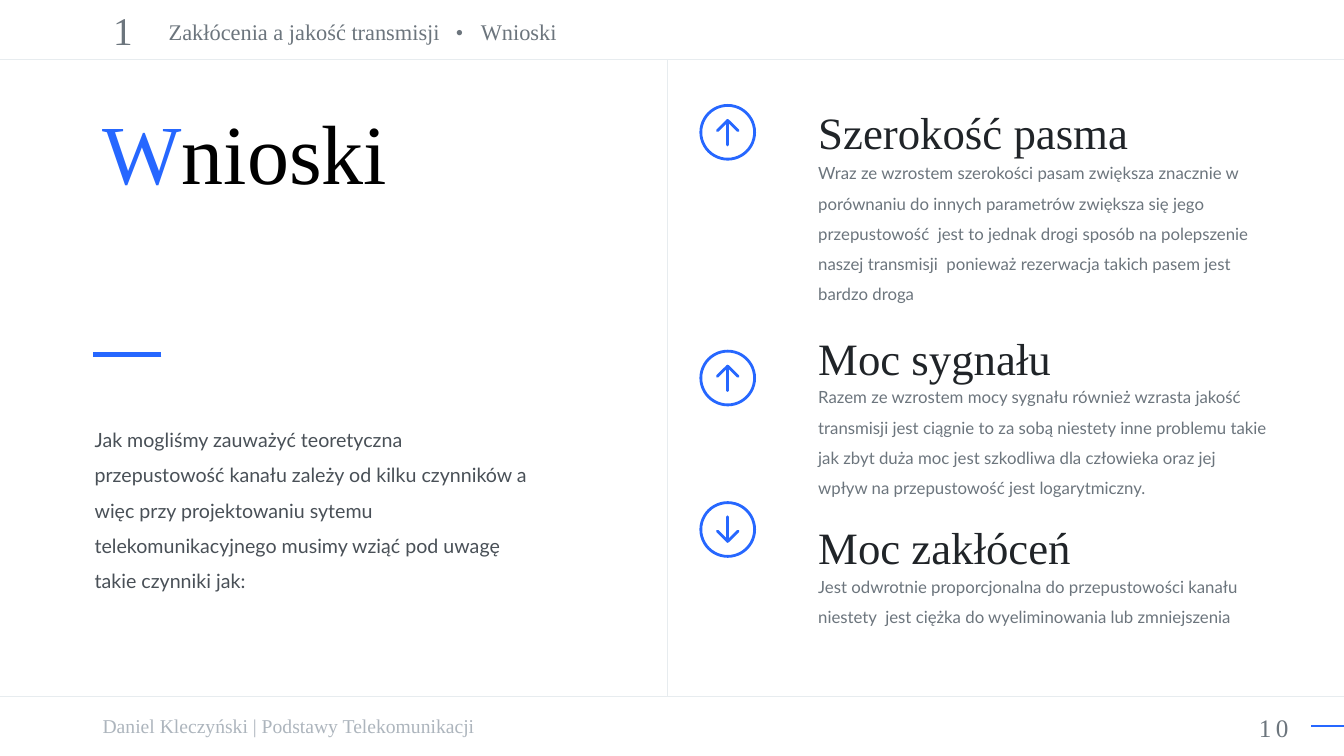
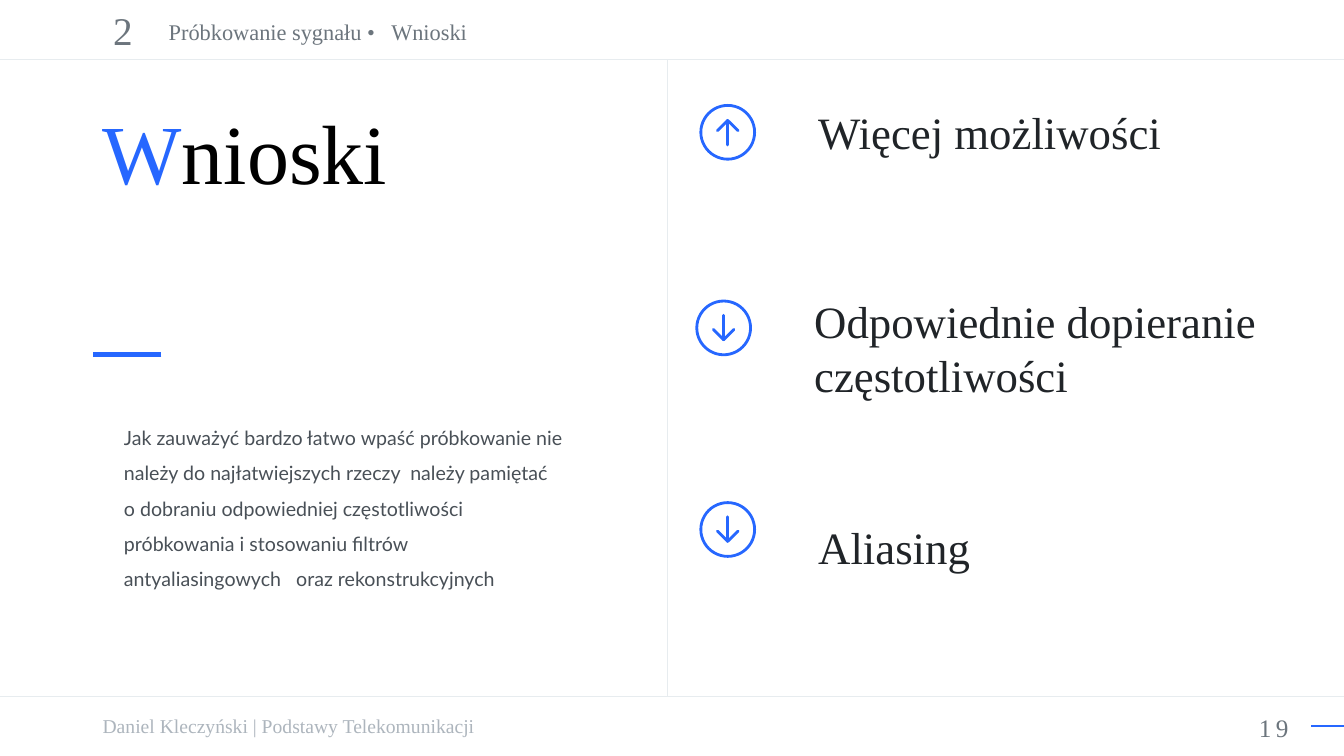
from lxml.etree import SubElement
from pptx import Presentation
from pptx.dml.color import RGBColor
from pptx.enum.shapes import MSO_CONNECTOR, MSO_SHAPE
from pptx.enum.text import MSO_ANCHOR, PP_ALIGN
from pptx.oxml.ns import qn
from pptx.util import Pt

COLORS = {
    "accent": "2667FF",
    "black": "000000",
    "heading": "202428",
    "body": "495057",
    "muted": "6C757D",
    "footer": "ADB5BD",
    "rule": "E7ECEF",
    "white": "FFFFFF",
}
SERIF = "Times New Roman"
SANS = "Lato"
WIDTH, HEIGHT = 960, 540
LEFT = 66.2
HEADER_Y, FOOTER_Y = 42.5, 497.5
ICON_X, ICON_SIZE = 499.6, 40.4
POINT_X, POINT_WIDTH = 577.4, 336.2


def rgb(name):
    return RGBColor.from_string(COLORS[name])


class ConclusionDeck:
    def __init__(self):
        self.deck = Presentation()
        self.deck.slide_width, self.deck.slide_height = Pt(WIDTH), Pt(HEIGHT)
        self.page = None

    def text(self, text, left, top, width, height, *, size, color, font=SERIF,
             align=PP_ALIGN.LEFT, anchor=MSO_ANCHOR.TOP, line_spacing=None,
             tracking=None, tabs=(), initial=None):
        """Add a text box; initial is an own colour for the first letter."""
        box = self.page.shapes.add_textbox(Pt(left), Pt(top), Pt(width), Pt(height))
        frame = box.text_frame
        frame.word_wrap = True
        frame.vertical_anchor = anchor
        para = frame.paragraphs[0]
        if tabs:
            tab_list = SubElement(para._p.get_or_add_pPr(), qn("a:tabLst"))
            for position in tabs:
                SubElement(tab_list, qn("a:tab"), pos=str(Pt(position)), algn="l")
        para.alignment = align
        if line_spacing:
            para.line_spacing = line_spacing
        parts = [(text[0], initial), (text[1:], color)] if initial else [(text, color)]
        for part, part_color in parts:
            span = para.add_run()
            span.text = part
            span.font.name = font
            span.font.size = Pt(size)
            span.font.color.rgb = rgb(part_color)
            if tracking:
                span._r.get_or_add_rPr().set("spc", str(tracking * 100))

    def line(self, x1, y1, x2, y2, color="rule", weight=0.5):
        rule = self.page.shapes.add_connector(
            MSO_CONNECTOR.STRAIGHT, Pt(x1), Pt(y1), Pt(x2), Pt(y2))
        rule.line.color.rgb = rgb(color)
        rule.line.width = Pt(weight)
        SubElement(rule._element.spPr, qn("a:effectLst"))

    def outline(self, shape):
        """Give a shape an accent stroke with round ends and no fill."""
        shape.shadow.inherit = False
        shape.fill.background()
        shape.line.color.rgb = rgb("accent")
        shape.line.width = Pt(2)
        stroke = shape._element.spPr.find(qn("a:ln"))
        stroke.set("cap", "rnd")
        SubElement(stroke, qn("a:round"))

    def arrow_icon(self, left, top, up):
        ring_size = ICON_SIZE - 2
        self.outline(self.page.shapes.add_shape(
            MSO_SHAPE.OVAL, Pt(left + 1), Pt(top + 1), Pt(ring_size), Pt(ring_size)))
        center_x, center_y = left + ICON_SIZE / 2, top + ICON_SIZE / 2
        direction = 1 if up else -1

        def point(x, y):
            return Pt(center_x + x), Pt(center_y + direction * y)

        tip = point(0, -8.5)
        builder = self.page.shapes.build_freeform(*point(-7.4, -1.1))
        builder.add_line_segments([tip, point(7.4, -1.1)], close=False)
        builder.move_to(*tip)
        builder.add_line_segments([point(0, 9)], close=False)
        self.outline(builder.convert_to_shape())

    def start_page(self, chapter, breadcrumb, tabs, number):
        self.page = self.deck.slides.add_slide(self.deck.slide_layouts[6])
        background = self.page.background.fill
        background.solid()
        background.fore_color.rgb = rgb("white")
        self.line(0, FOOTER_Y, WIDTH, FOOTER_Y)
        self.line(WIDTH, 518.4, 936.7, 518.4, "accent", 1.5)
        self.text(number, 866.9, 505.4, 60.5, 25.2, size=18, color="muted",
                  align=PP_ALIGN.RIGHT, tracking=3)
        self.text("Daniel Kleczyński | Podstawy Telekomunikacji", LEFT, 506.2, 800.6, 24.5,
                  size=14, color="footer")
        self.line(0, HEADER_Y, WIDTH, HEADER_Y)
        self.text(chapter, LEFT, 0, 43.2, HEADER_Y, size=28, color="muted",
                  align=PP_ALIGN.CENTER, anchor=MSO_ANCHOR.MIDDLE)
        self.text(breadcrumb, 113.4, 0, 816.8, 43.2, size=16, color="muted",
                  line_spacing=1.5, tabs=tabs)
        self.text("Wnioski", LEFT, 68.4, 357.8, 156.2, size=60, color="black",
                  initial="accent")
        self.line(115.2, 253.4, LEFT, 253.4, "accent", 3.25)
        self.line(476.6, HEADER_Y, 476.6, FOOTER_Y)

    def summary(self, text, left, top):
        self.text(text, left, top, 327.6, 131, size=14, color="body", font=SANS,
                  line_spacing=1.5)

    def conclusion(self, heading, top, icon_top, up, body=None, body_top=0,
                   body_height=0, shift=0, lines=1):
        self.text(heading, POINT_X + shift, top, POINT_WIDTH, 7.2 + 38.9 * lines,
                  size=32, color="heading")
        if body:
            self.text(body, POINT_X, body_top, POINT_WIDTH, body_height, size=12,
                      color="muted", font=SANS, line_spacing=1.5)
        self.arrow_icon(ICON_X + shift, icon_top, up)


def main():
    deck = ConclusionDeck()

    deck.start_page("1", "Zakłócenia a jakość transmisji\t•\tWnioski", (205, 223), "10")
    deck.summary(
        "Jak mogliśmy zauważyć teoretyczna przepustowość kanału zależy od kilku czynników "
        "a więc przy projektowaniu sytemu telekomunikacyjnego musimy wziąć pod uwagę "
        "takie czynniki jak:", 60.5, 293.8)
    deck.conclusion(
        "Szerokość pasma", 71.3, 74.3, True,
        "Wraz ze wzrostem szerokości pasam zwiększa znacznie w porównaniu do innych "
        "parametrów zwiększa się jego przepustowość  jest to jednak drogi sposób na "
        "polepszenie naszej transmisji  ponieważ rezerwacja takich pasem jest bardzo droga",
        105.8, 113.8)
    deck.conclusion(
        "Moc sygnału", 232.6, 249.8, True,
        "Razem ze wzrostem mocy sygnału również wzrasta jakość transmisji jest ciągnie to "
        "za sobą niestety inne problemu takie jak zbyt duża moc jest szkodliwa dla "
        "człowieka oraz jej wpływ na przepustowość jest logarytmiczny.",
        265.7, 92.2)
    deck.conclusion(
        "Moc zakłóceń", 367.9, 358, False,
        "Jest odwrotnie proporcjonalna do przepustowości kanału niestety  jest ciężka do "
        "wyeliminowania lub zmniejszenia",
        401, 48.2)

    deck.start_page("2", "Próbkowanie sygnału •\tWnioski", (159,), "19")
    deck.summary(
        "Jak zauważyć bardzo łatwo wpaść próbkowanie nie należy do najłatwiejszych rzeczy  "
        "należy pamiętać o dobraniu odpowiedniej częstotliwości próbkowania i stosowaniu "
        "filtrów antyaliasingowych   oraz rekonstrukcyjnych", 81.4, 292.3)
    deck.conclusion("Więcej możliwości", 71.3, 74.3, True)
    deck.conclusion("Odpowiednie dopieranie częstotliwości", 206.6, 214, False,
                    shift=-2.9, lines=2)
    deck.conclusion("Aliasing", 367.9, 358, False)

    deck.deck.save("out.pptx")


if __name__ == "__main__":
    main()
